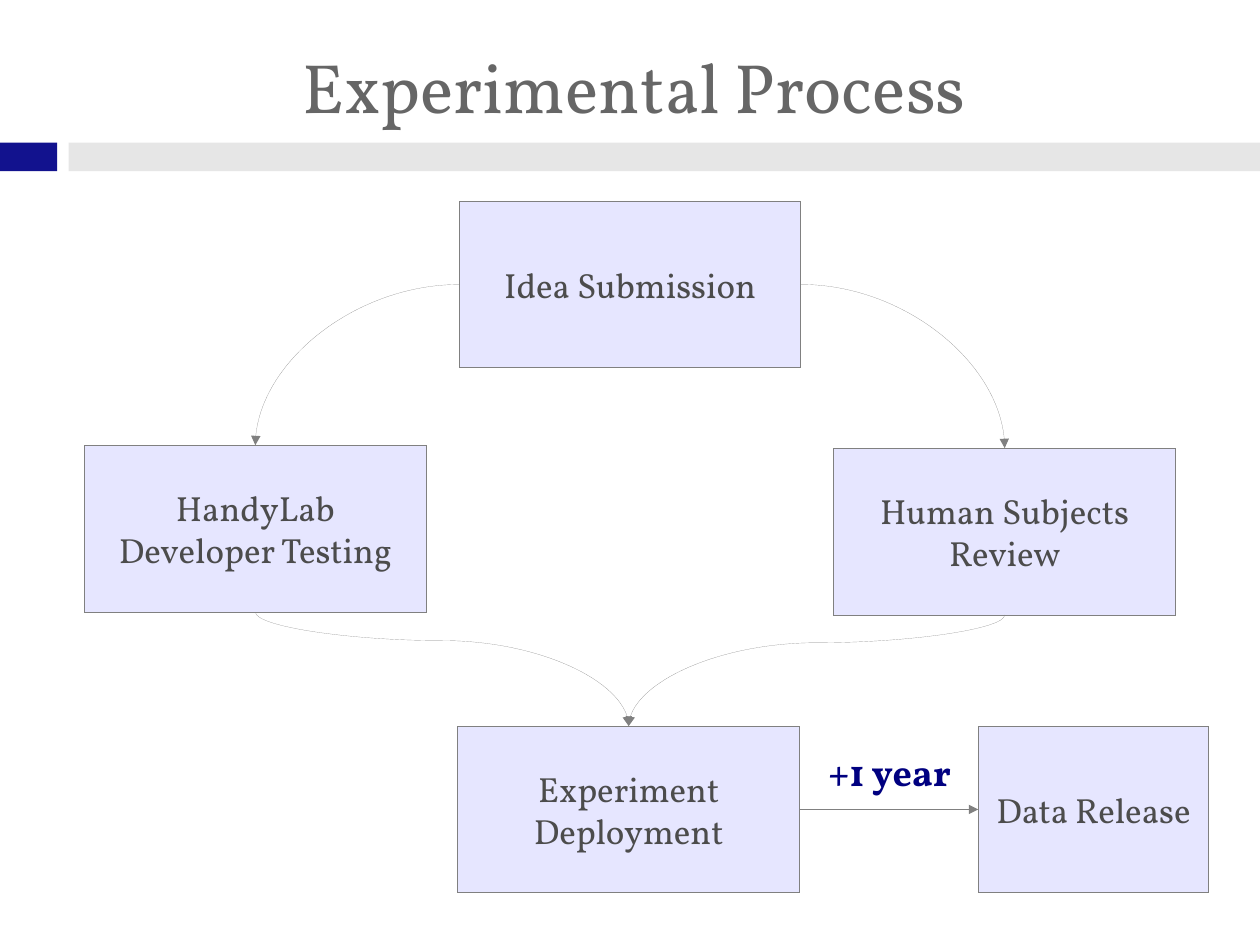
from pptx import Presentation
from pptx.dml.color import RGBColor as Color
from pptx.enum.shapes import MSO_CONNECTOR as Connector, MSO_SHAPE as Shape
from pptx.enum.text import MSO_ANCHOR as Anchor, MSO_AUTO_SIZE as AutoSize, PP_ALIGN as Align
from pptx.oxml.ns import qn
from pptx.oxml.xmlchemy import OxmlElement as Element
from pptx.util import Cm, Inches, Pt

THEME = {
    "font": "Vollkorn",
    "title": {"size": 44, "color": "666666", "bold": False},
    "step": {"size": 22, "color": "4C4C4C", "bold": False},
    "delay": {"size": 24, "color": "000080", "bold": True},
    "accent": "12128E",
    "band": "E6E6E6",
    "step_fill": "E6E6FF",
    "line": "808080",
}

presentation = Presentation()
presentation.slide_width = Cm(28)
presentation.slide_height = Cm(21)
slide = presentation.slides.add_slide(presentation.slide_layouts[5])


def place(left, top, width, height):
    """Turn percentages of the slide's width and height into lengths."""
    across, down = presentation.slide_width / 100, presentation.slide_height / 100
    return [round(left * across), round(top * down), round(width * across), round(height * down)]


def write(shape, text, style, alignment, **frame_format):
    frame = shape.text_frame
    frame.text = text
    for name, value in frame_format.items():
        setattr(frame, name, value)
    for paragraph in frame.paragraphs:
        paragraph.alignment = alignment
        font = paragraph.runs[0].font
        font_format = {"name": THEME["font"], "size": Pt(style["size"]), "bold": style["bold"]}
        for name, value in font_format.items():
            setattr(font, name, value)
        font.color.rgb = Color.from_string(style["color"])


# Header: two bars under the title
for left, width, fill in [(5.44, 94.56, "band"), (0, 4.54, "accent")]:
    bar = slide.shapes.add_shape(Shape.RECTANGLE, *place(left, 15.11, width, 3.02))
    bar.shadow.inherit = False
    bar.fill.solid()
    bar.fill.fore_color.rgb = Color.from_string(THEME[fill])
    bar.line.fill.background()

title = slide.shapes.title
title.left, title.top, title.width, title.height = place(2.27, 3.02, 95.25, 12.09)
write(title, "Experimental Process", THEME["title"], Align.CENTER, vertical_anchor=Anchor.MIDDLE,
      margin_left=Inches(0.1), margin_right=0, margin_top=0, margin_bottom=0)

# Steps: left, top and width in percent
step_width, step_height = 27.12, 17.65
steps = {}
for key, text, left, top, width in [
    ("idea", "Idea Submission", 36.45, 21.28, step_width),
    ("deployment", "Experiment\nDeployment", 36.34, 76.83, step_width),
    ("review", "Human Subjects\nReview", 66.18, 47.43, step_width),
    ("testing", "HandyLab\nDeveloper Testing", 6.71, 47.12, step_width),
    ("release", "Data Release", 77.64, 76.83, 18.29),
]:
    step = slide.shapes.add_shape(Shape.FLOWCHART_PROCESS, *place(left, top, width, step_height))
    step.shadow.inherit = False
    step.fill.solid()
    step.fill.fore_color.rgb = Color.from_string(THEME["step_fill"])
    step.line.color.rgb = Color.from_string(THEME["line"])
    step.line._get_or_add_ln().set("w", "0")
    write(step, text, THEME["step"], Align.CENTER, vertical_anchor=Anchor.MIDDLE, word_wrap=True)
    steps[key] = step

# Arrows: connection sites run counterclockwise from the top
TOP, LEFT, BOTTOM, RIGHT = range(4)
for start, start_site, end, end_site, preset in [
    ("idea", RIGHT, "review", TOP, "curvedConnector2"),
    ("idea", LEFT, "testing", TOP, "curvedConnector2"),
    ("testing", BOTTOM, "deployment", TOP, "curvedConnector3"),
    ("review", BOTTOM, "deployment", TOP, "curvedConnector3"),
    ("deployment", RIGHT, "release", LEFT, "line"),
]:
    kind = Connector.STRAIGHT if preset == "line" else Connector.CURVE
    arrow = slide.shapes.add_connector(kind, 0, 0, 0, 0)
    arrow.begin_connect(steps[start], start_site)
    arrow.end_connect(steps[end], end_site)
    arrow.line.color.rgb = Color.from_string(THEME["line"])

    properties = arrow._element.spPr
    geometry = properties.find(qn("a:prstGeom"))
    geometry.set("prst", preset)
    if preset == "curvedConnector3":
        # A curve that leaves downwards is a sideways one turned by a quarter
        rightward = arrow.end_x > arrow.begin_x
        left, top, width, height = arrow.left, arrow.top, arrow.width, arrow.height
        arrow.left = left + (width - height) // 2
        arrow.top = top + (height - width) // 2
        arrow.width, arrow.height = height, width
        transform = properties.find(qn("a:xfrm"))
        transform.set("rot", str((270 if rightward else 90) * 60000))
        transform.set("flipH", "1" if rightward else "0")
        bend = Element("a:gd")
        bend.set("name", "adj1")
        bend.set("fmla", "val 25000")
        geometry.find(qn("a:avLst")).append(bend)

    head = Element("a:tailEnd")
    head.set("type", "triangle")
    outline = arrow.line._get_or_add_ln()
    outline.set("w", "0")
    outline.append(head)
    properties.append(Element("a:effectLst"))

delay = slide.shapes.add_textbox(*place(64.86, 78.58, 11.8, 5.68))
write(delay, "+1 year", THEME["delay"], Align.LEFT, word_wrap=False,
      auto_size=AutoSize.SHAPE_TO_FIT_TEXT)

presentation.save("out.pptx")
